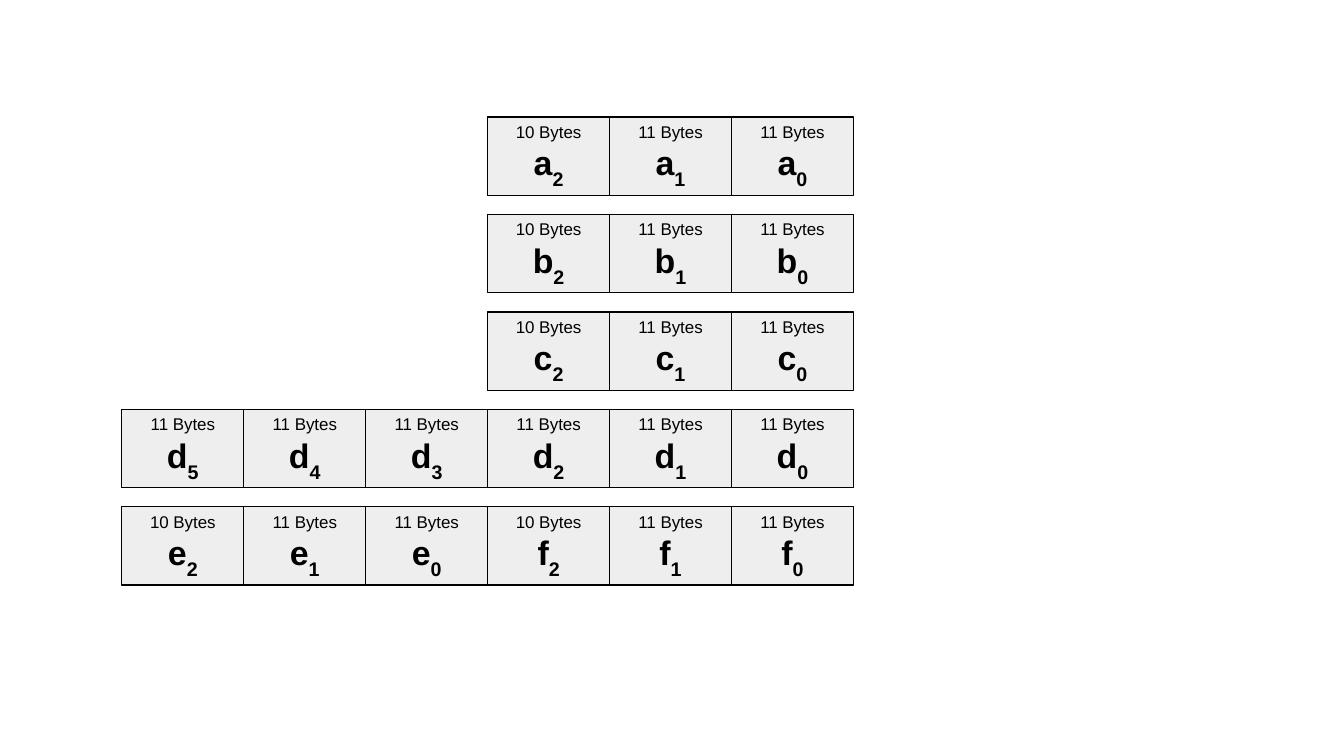
from pptx import Presentation
from pptx.dml.color import RGBColor
from pptx.enum.shapes import MSO_SHAPE as Preset
from pptx.enum.text import MSO_ANCHOR as Anchor, MSO_AUTO_SIZE as AutoSize, PP_ALIGN as Align
from pptx.util import Cm, Pt

COLORS = {"cell": "EEEEEE", "ink": "000000"}
FRAME_FORMAT = {
    "word_wrap": True,
    "auto_size": AutoSize.SHAPE_TO_FIT_TEXT,
    "vertical_anchor": Anchor.MIDDLE,
    "margin_left": Cm(0.25),
    "margin_right": Cm(0.25),
    "margin_top": Cm(0.13),
    "margin_bottom": Cm(0.13),
}
SIZE_FONT = {"name": "Arial", "size": Pt(10), "bold": False}
LIMB_FONT = {"name": "Arial", "size": Pt(20), "bold": True}

CELL_WIDTH, CELL_HEIGHT = Cm(2.54), Cm(1.63)
ROW_PITCH = Cm(2.03)
GRID_RIGHT, GRID_TOP = Cm(17.78), Cm(2.44)


def number(name):
    return [(10, name, 2), (11, name, 1), (11, name, 0)]


ROWS = [
    number("a"),
    number("b"),
    number("c"),
    [(11, "d", index) for index in range(5, -1, -1)],
    number("e") + number("f"),
]


def apply_format(target, values):
    for key, value in values.items():
        setattr(target, key, value)


def add_span(para, text, font_format):
    span = para.add_run()
    span.text = text
    apply_format(span.font, font_format)
    span.font.color.rgb = RGBColor.from_string(COLORS["ink"])
    return span


def add_limb(page, left, top, width, height, limb):
    size, name, index = limb
    box = page.shapes.add_shape(Preset.RECTANGLE, left, top, width, height)
    box.shadow.inherit = False
    box.fill.solid()
    box.fill.fore_color.rgb = RGBColor.from_string(COLORS["cell"])
    box.line.color.rgb = RGBColor.from_string(COLORS["ink"])
    box.line.width = Pt(0.71)
    frame = box.text_frame
    apply_format(frame, FRAME_FORMAT)
    size_para, limb_para = frame.paragraphs[0], frame.add_paragraph()
    for para in (size_para, limb_para):
        para.alignment = Align.CENTER
    add_span(size_para, f"{size} Bytes", SIZE_FONT)
    add_span(limb_para, name, LIMB_FONT)
    subscript = add_span(limb_para, str(index), LIMB_FONT)
    subscript._r.get_or_add_rPr().set("baseline", "-33000")


def add_limb_row(page, right, top, width, height, limbs):
    left = right - len(limbs) * width
    for column, limb in enumerate(limbs):
        add_limb(page, left + column * width, top, width, height, limb)


def main():
    deck = Presentation()
    deck.slide_width, deck.slide_height = Cm(28), Cm(15.75)
    page = deck.slides.add_slide(deck.slide_layouts[6])
    for row, limbs in enumerate(ROWS):
        top = GRID_TOP + row * ROW_PITCH
        add_limb_row(page, GRID_RIGHT, top, CELL_WIDTH, CELL_HEIGHT, limbs)
    deck.save("out.pptx")


if __name__ == "__main__":
    main()
